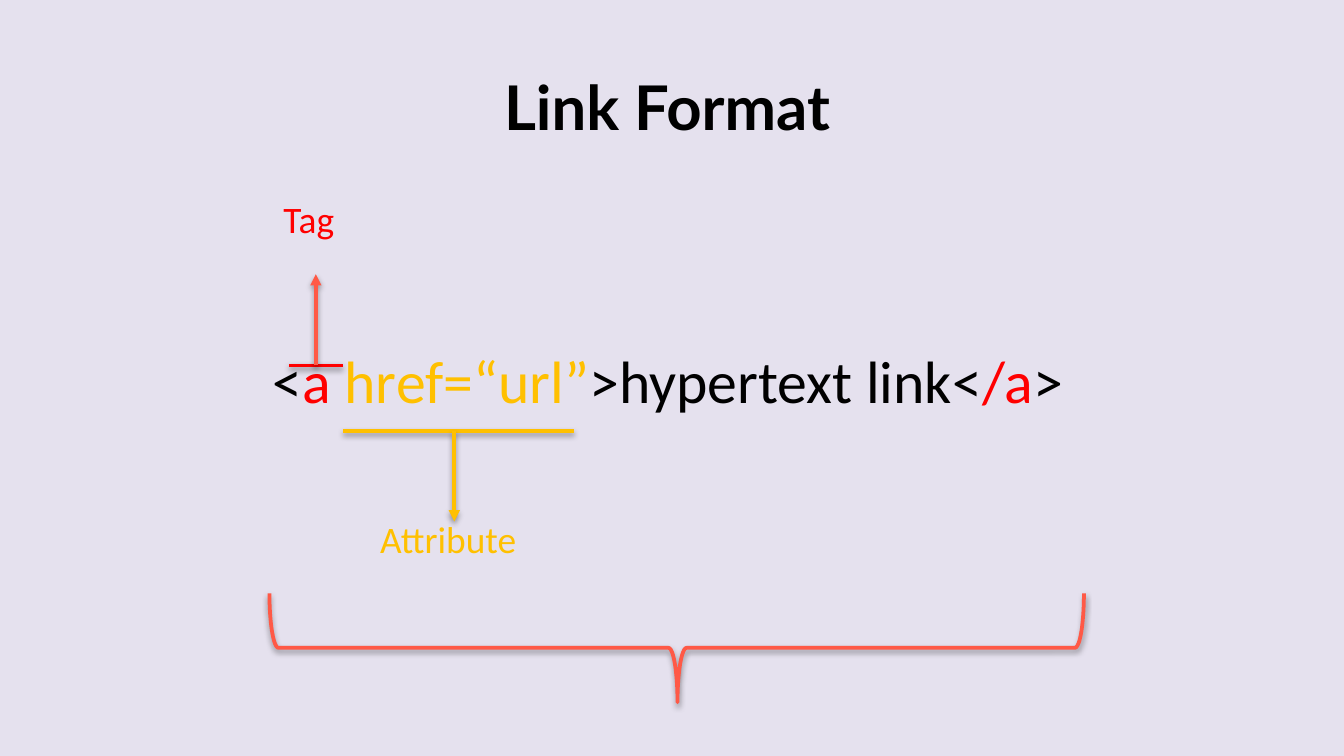
from dataclasses import dataclass

from lxml import etree
from pptx import Presentation
from pptx.dml.color import RGBColor
from pptx.enum.shapes import MSO_CONNECTOR, MSO_SHAPE
from pptx.enum.text import MSO_ANCHOR, MSO_AUTO_SIZE, PP_ALIGN
from pptx.oxml import parse_xml
from pptx.oxml.ns import nsdecls, qn
from pptx.util import Pt

STRAIGHT = MSO_CONNECTOR.STRAIGHT
LEFT_BRACE = MSO_SHAPE.LEFT_BRACE
TOP = MSO_ANCHOR.TOP
LEFT = PP_ALIGN.LEFT
NO_FIT = MSO_AUTO_SIZE.NONE


@dataclass(frozen=True)
class Theme:
    background: RGBColor = RGBColor(0xE5, 0xE1, 0xEE)
    ink: RGBColor = RGBColor(0, 0, 0)
    tag: RGBColor = RGBColor(0xFF, 0, 0)
    attribute: RGBColor = RGBColor(0xFF, 0xC0, 0)
    accent: RGBColor = RGBColor(0xFF, 0x59, 0x46)
    title_font: str = "Lato"
    body_font: str = "Calibri"
    title_size: float = 33
    code_size: float = 32
    label_size: float = 20
    line_width: float = 2
    inset: float = 7.2


class Deck:
    """Holds the theme and the current slide."""

    def __init__(self, prs, theme):
        self.theme = theme
        self.s = prs.slides.add_slide(prs.slide_layouts[5])
        fill = self.s.background.fill
        fill.solid()
        fill.fore_color.rgb = theme.background

    def frame(self, sp, font, size):
        tf = sp.text_frame
        tf.word_wrap = True
        tf.auto_size = NO_FIT
        tf.vertical_anchor = TOP
        tf.margin_left = tf.margin_right = Pt(self.theme.inset)
        tf.margin_top = tf.margin_bottom = Pt(self.theme.inset)
        p = tf.paragraphs[0]
        p.alignment = LEFT
        p.font.name = font
        p.font.size = Pt(size)
        return p

    def title(self, text, x, y, w, h):
        sp = self.s.shapes.title
        sp.left, sp.top, sp.width, sp.height = Pt(x), Pt(y), Pt(w), Pt(h)
        p = self.frame(sp, self.theme.title_font, self.theme.title_size)
        p.font.bold = True
        p.font.color.rgb = self.theme.ink
        p.add_run().text = text

    def text(self, parts, x, y, w, h, size):
        sp = self.s.shapes.add_textbox(Pt(x), Pt(y), Pt(w), Pt(h))
        p = self.frame(sp, self.theme.body_font, size)
        for text, color in parts:
            r = p.add_run()
            r.text = text
            r.font.color.rgb = color

    def outline(self, sp, color):
        """Set the line, then the soft shadow below it."""
        sp.line.color.rgb = color
        sp.line.width = Pt(self.theme.line_width)
        sp_pr = sp.element.spPr
        for old in sp_pr.findall(qn("a:effectLst")):
            sp_pr.remove(old)
        sp_pr.append(parse_xml(
            f'<a:effectLst {nsdecls("a")}>'
            f'<a:outerShdw blurRad="{Pt(3.1)}" dist="{Pt(1.6)}" dir="5400000" rotWithShape="0">'
            '<a:srgbClr val="000000"><a:alpha val="38000"/></a:srgbClr>'
            '</a:outerShdw></a:effectLst>'))

    def line(self, x1, y1, x2, y2, color, arrow=False):
        sp = self.s.shapes.add_connector(STRAIGHT, Pt(x1), Pt(y1), Pt(x2), Pt(y2))
        self.outline(sp, color)
        if arrow:
            ln = sp.line._get_or_add_ln()
            etree.SubElement(ln, qn("a:tailEnd"), type="triangle")

    def brace(self, x, y, w, h, color):
        """Draw a brace that points down; x, y, w, h is its box before rotation."""
        sp = self.s.shapes.add_shape(LEFT_BRACE, Pt(x), Pt(y), Pt(w), Pt(h))
        sp.rotation = 270
        sp.adjustments[0] = 0.083
        sp.adjustments[1] = 0.501
        sp.fill.background()
        self.outline(sp, color)


def main():
    prs = Presentation()
    prs.slide_width, prs.slide_height = Pt(720), Pt(405)
    theme = Theme()
    deck = Deck(prs, theme)

    # Title and the link syntax
    deck.title("Link Format", 262.8, 29.5, 195.2, 45.4)
    deck.text([("<", theme.ink), ("a ", theme.tag), ("href=“url”", theme.attribute),
               (">hypertext link<", theme.ink), ("/a", theme.tag), (">", theme.ink)],
              139, 177.2, 454.4, 67, theme.code_size)

    # Labels
    deck.text([("Tag", theme.tag)], 144.7, 98, 49, 42.5, theme.label_size)
    deck.text([("Attribute", theme.attribute)], 196.6, 269.3, 98, 50.4, theme.label_size)

    # Attribute underline and tag overline, with their arrows
    tag_y, attribute_y, split_x = 195.8, 231.1, 183.6
    deck.line(307.4, attribute_y, split_x, attribute_y, theme.attribute)
    deck.line(split_x, tag_y, 154.8, tag_y, theme.tag)
    deck.line(243.4, attribute_y, 243.4, 279.4, theme.attribute, arrow=True)
    deck.line(169.2, tag_y, 169.2, 146.9, theme.accent, arrow=True)

    # Brace under the whole element
    deck.brace(333.4, 128.9, 58.3, 436.3, theme.accent)

    prs.save("out.pptx")


if __name__ == "__main__":
    main()
